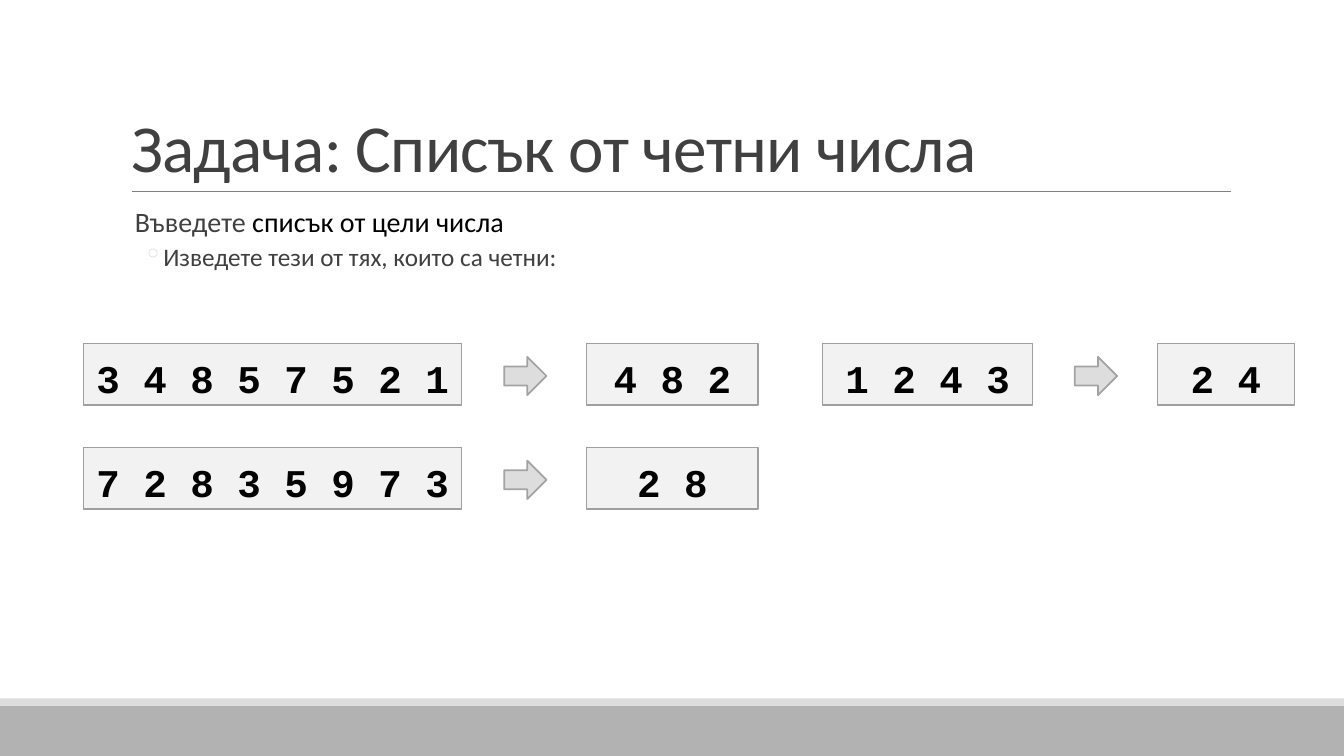
import pptx
import pptx.util
import pptx.dml.color
import pptx.enum.shapes
import pptx.enum.text
import pptx.oxml.ns
import lxml.etree

Inches = pptx.util.Inches
Pt = pptx.util.Pt
RGBColor = pptx.dml.color.RGBColor
Shape = pptx.enum.shapes.MSO_SHAPE
Align = pptx.enum.text.PP_ALIGN
Anchor = pptx.enum.text.MSO_ANCHOR
Fit = pptx.enum.text.MSO_AUTO_SIZE
qn = pptx.oxml.ns.qn

BLACK = RGBColor(0x00, 0x00, 0x00)
DARK = RGBColor(0x40, 0x40, 0x40)
RULE = RGBColor(0x80, 0x80, 0x80)
EDGE = RGBColor(0x9F, 0x9F, 0x9F)
RIM = RGBColor(0xA3, 0xA3, 0xA3)
BAND = RGBColor(0xB2, 0xB2, 0xB2)
BOX = RGBColor(0xBF, 0xBF, 0xBF)
PALE = RGBColor(0xDD, 0xDD, 0xDD)


class Deck:
    sans = "Calibri"
    mono = "Courier New"

    def __init__(self):
        self.show = pptx.Presentation()
        self.show.slide_width = Inches(13.33)
        self.show.slide_height = Inches(7.5)
        self.slide = self.show.slides.add_slide(self.show.slide_layouts[5])
        self.shapes = self.slide.shapes

    def shape(self, kind, left, top, width, height, fill, line=None, weight=1):
        item = self.shapes.add_shape(
            kind, Inches(left), Inches(top), Inches(width), Inches(height))
        item.shadow.inherit = False
        item.fill.solid()
        item.fill.fore_color.rgb = fill
        if line is None:
            item.line.fill.background()
        else:
            item.line.color.rgb = line
            item.line.width = Pt(weight)
        return item

    def rule(self, left, right, top):
        line = self.shapes.add_connector(
            pptx.enum.shapes.MSO_CONNECTOR.STRAIGHT,
            Inches(left), Inches(top), Inches(right), Inches(top))
        line.line.color.rgb = RULE
        line.line.width = Pt(0.5)
        props = line.element.find(qn("p:spPr"))
        lxml.etree.SubElement(props, qn("a:effectLst"))

    def title(self, text, left, top, width, height):
        item = self.shapes.title
        item.left, item.top = Inches(left), Inches(top)
        item.width, item.height = Inches(width), Inches(height)
        frame = item.text_frame
        frame.auto_size = Fit.NONE
        frame.vertical_anchor = Anchor.BOTTOM
        para = frame.paragraphs[0]
        para.alignment = Align.LEFT
        para.line_spacing = 0.85
        font = para.font
        font.name, font.size, font.color.rgb = self.sans, Pt(48), DARK
        run = para.add_run()
        run.text = text
        run.font.bold = False
        run.font._element.set("spc", "-50")

    def body(self, left, top, width, height):
        item = self.shapes.add_textbox(
            Inches(left), Inches(top), Inches(width), Inches(height))
        frame = item.text_frame
        frame.word_wrap = True
        frame.margin_left = frame.margin_right = 0
        return frame

    def item(self, para, runs, size, left, hang, before, after, mark, level=0):
        para.level = level
        para.line_spacing = 0.9
        para.space_before, para.space_after = Pt(before), Pt(after)
        para.font.name, para.font.size = self.sans, Pt(size)
        for text, color in runs:
            run = para.add_run()
            run.text = text
            run.font.color.rgb = color
        props = para._p.get_or_add_pPr()
        props.set("marL", str(Inches(left)))
        props.set("indent", str(-Inches(hang)))
        tint = lxml.etree.Element(qn("a:buClr"))
        lxml.etree.SubElement(tint, qn("a:srgbClr"), val=str(PALE))
        char = lxml.etree.Element(qn("a:buChar"), char=mark)
        last = props.find(qn("a:defRPr"))
        last.addprevious(tint)
        last.addprevious(char)

    def box(self, text, left, top, width):
        item = self.shape(Shape.RECTANGLE, left, top, width, 0.61, BOX, EDGE)
        color = item.element.find(qn("p:spPr")).find(qn("a:solidFill"))[0]
        lxml.etree.SubElement(color, qn("a:alpha"), val="20000")
        frame = item.text_frame
        frame.word_wrap = True
        frame.auto_size = Fit.SHAPE_TO_FIT_TEXT
        para = frame.paragraphs[0]
        para.text = text
        para.alignment = Align.CENTER
        para.line_spacing = 1.15
        font = para.font
        font.name, font.size, font.bold = self.mono, Pt(28), True
        font.color.rgb = BLACK

    def sample(self, given, found, left, top, wide, slim):
        self.box(given, left, top, wide)
        arrow = left + wide + 0.42
        self.shape(Shape.RIGHT_ARROW, arrow, top + 0.13, 0.42, 0.38,
                   PALE, RIM, 1.25)
        self.box(found, arrow + 0.82, top, slim)


def main():
    deck = Deck()
    deck.shape(Shape.RECTANGLE, 0, 7, 13.33, 0.5, BAND)
    deck.shape(Shape.RECTANGLE, 0, 6.93, 13.33, 0.07, PALE)
    deck.rule(1.31, 12.21, 1.9)
    deck.title("Задача: Списък от четни числа", 1.2, 0.31, 11, 1.59)

    frame = deck.body(1.2, 2.02, 11, 4.4)
    deck.item(frame.paragraphs[0],
              [("Въведете ", DARK), ("списък от цели числа", BLACK)],
              20, 0.1, 0.1, 12, 2, " ")
    deck.item(frame.add_paragraph(),
              [("Изведете тези от тях, които са четни:", DARK)],
              18, 0.42, 0.2, 2, 4, "◦", 1)

    for given, found, left, top, wide, slim in (
            ("3 4 8 5 7 5 2 1", "4 8 2", 0.83, 3.41, 3.75, 1.7),
            ("7 2 8 3 5 9 7 3", "2 8", 0.83, 4.44, 3.75, 1.7),
            ("1 2 4 3", "2 4", 8.16, 3.41, 2.08, 1.36)):
        deck.sample(given, found, left, top, wide, slim)

    deck.show.save("out.pptx")


if __name__ == "__main__":
    main()
